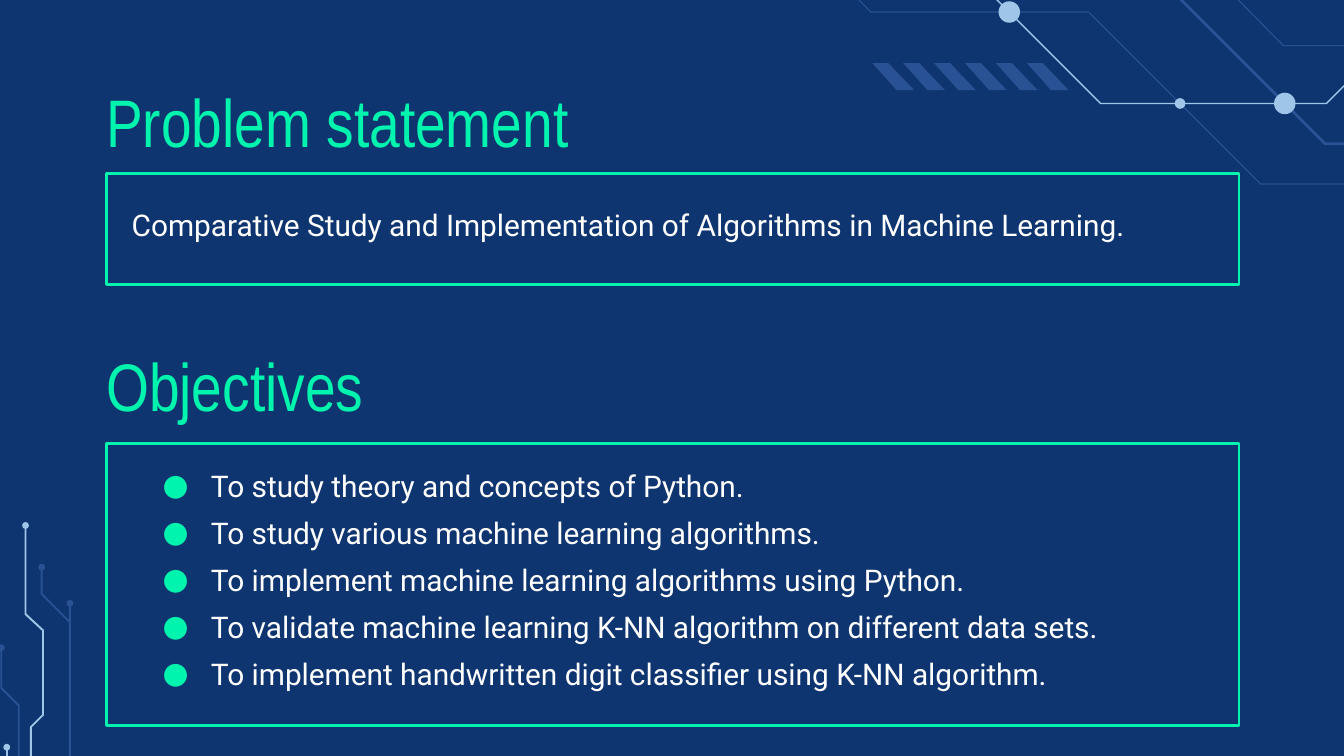
from lxml import etree
from pptx import Presentation
from pptx.dml.color import RGBColor
from pptx.enum.shapes import MSO_CONNECTOR as CONNECTOR, MSO_SHAPE as SHAPE
from pptx.enum.text import MSO_ANCHOR as ANCHOR
from pptx.oxml.ns import qn
from pptx.util import Inches, Pt

NAVY, BLUE, SKY, GREEN, WHITE = "0F3570", "285293", "9FC5E8", "00F4AD", "FFFFFF"

OBJECTIVES = [
    "To study theory and concepts of Python.",
    "To study various machine learning algorithms.",
    "To implement machine learning algorithms using Python.",
    "To validate machine learning K-NN algorithm on different data sets.",
    "To implement handwritten digit classifier using K-NN algorithm.",
]


def color(value):
    return RGBColor.from_string(value)


def add_trace(slide, left, top, points, hue, weight):
    """Draw an open circuit line; points are relative to left and top."""
    places = [(Inches(left + x), Inches(top + y)) for x, y in points]
    if len(places) == 2:
        shape = slide.shapes.add_connector(CONNECTOR.STRAIGHT, *places[0], *places[1])
        etree.SubElement(shape._element.spPr, qn("a:effectLst"))
    else:
        builder = slide.shapes.build_freeform(*places[0])
        builder.add_line_segments(places[1:], close=False)
        shape = builder.convert_to_shape()
        shape.fill.background()
        shape.shadow.inherit = False
    shape.line.color.rgb = color(hue)
    shape.line.width = Pt(weight)


def add_node(slide, center_x, center_y, diameter, hue):
    shape = slide.shapes.add_shape(
        SHAPE.OVAL, Inches(center_x - diameter / 2), Inches(center_y - diameter / 2),
        Inches(diameter), Inches(diameter))
    shape.shadow.inherit = False
    shape.fill.solid()
    shape.fill.fore_color.rgb = color(hue)
    shape.line.fill.background()


def add_text(slide, left, top, width, height, lines, font, size, hue):
    box = slide.shapes.add_textbox(Inches(left), Inches(top), Inches(width), Inches(height))
    frame = box.text_frame
    frame.word_wrap = True
    frame.vertical_anchor = ANCHOR.TOP
    frame.margin_left = frame.margin_right = frame.margin_top = frame.margin_bottom = 0
    frame.text = "\n".join(lines)
    for paragraph in frame.paragraphs:
        paragraph.font.name = font
        paragraph.font.size = Pt(size)
        paragraph.font.color.rgb = color(hue)
    return frame.paragraphs


def indent(paragraph, margin, first_line=0):
    properties = paragraph._p.get_or_add_pPr()
    properties.set("marL", str(Inches(margin)))
    properties.set("indent", str(Inches(first_line)))
    return properties


def add_bullet(paragraph):
    properties = indent(paragraph, 0.5, -0.36)
    bullet_color = etree.Element(qn("a:buClr"))
    etree.SubElement(bullet_color, qn("a:srgbClr"), val=GREEN)
    bullet_font = etree.Element(qn("a:buFont"), typeface="Roboto")
    bullet = etree.Element(qn("a:buChar"), char="●")
    defaults = properties.find(qn("a:defRPr"))
    for part in (bullet_color, bullet_font, bullet):
        defaults.addprevious(part)


def add_top_circuit(slide, left, top):
    # Lines running across the top right corner
    traces = [
        ([(0.38, -1.08), (2.2, -1.08), (2.84, -0.44), (3.84, -0.44), (5.35, 1.07),
          (7.35, 1.07)], BLUE, 1.5),
        ([(0.78, -0.44), (2.47, -0.44), (3.68, 0.77), (5.36, 0.77), (6.53, -0.4),
          (7.61, -0.4)], SKY, 0.75),
        ([(0.01, -0.29), (1.59, -0.29), (1.97, 0.09), (3.59, 0.09), (4.87, 1.37),
          (5.65, 1.37), (6.45, 0.57), (7.35, 0.57)], BLUE, 0.6),
        ([(4.27, -0.44), (5.04, 0.34), (6.81, 0.34)], BLUE, 0.6),
    ]
    for points, hue, weight in traces:
        add_trace(slide, left, top, points, hue, weight)
    for x, y, diameter in [(4.27, 0.77, 0.08), (3, 0.09, 0.16), (5.05, 0.77, 0.16)]:
        add_node(slide, left + x, top + y, diameter, SKY)

    # Row of slanted stripes
    for number in range(6):
        x = left + 1.98 + 0.23 * number
        corners = [(x, 0.47), (x + 0.18, 0.67), (x + 0.31, 0.67), (x + 0.12, 0.47)]
        places = [(Inches(px), Inches(top + py)) for px, py in corners]
        builder = slide.shapes.build_freeform(*places[0])
        builder.add_line_segments(places[1:])
        stripe = builder.convert_to_shape()
        stripe.shadow.inherit = False
        stripe.fill.solid()
        stripe.fill.fore_color.rgb = color(BLUE)
        stripe.line.fill.background()


def add_side_circuit(slide, left, top):
    # Each line ends at a node on its last point
    traces = [
        ([(0.23, 3.78), (0.23, 1.5), (0.32, 1.41), (0.32, 0.78), (0.19, 0.66),
          (0.19, 0)], SKY),
        ([(0.4, 3.14), (0.4, 1.97), (0.52, 1.85), (0.52, 0.58)], BLUE),
        ([(0.52, 0.72), (0.31, 0.51), (0.31, 0.31)], BLUE),
        ([(-0.04, 3.19), (0.14, 3), (0.14, 1.34), (0.01, 1.21), (0.01, 0.91)], BLUE),
        ([(0.05, 2.83), (0.05, 1.65)], SKY),
    ]
    for points, hue in traces:
        add_trace(slide, left, top, points, hue, 1.03)
        end_x, end_y = points[-1]
        add_node(slide, left + end_x, top + end_y, 0.05, hue)


def add_section(slide, left, top, width, title, frame_top, frame_height):
    """Place a heading with an outlined frame below it."""
    add_text(slide, left, top, width, 0.53, [title], "Arial Narrow", 36, GREEN)
    frame = slide.shapes.add_shape(
        SHAPE.RECTANGLE, Inches(left), Inches(top + frame_top),
        Inches(width), Inches(frame_height))
    frame.shadow.inherit = False
    frame.fill.background()
    frame.line.color.rgb = color(GREEN)
    frame.line.width = Pt(1.5)


def add_problem(slide, left, top, width):
    add_section(slide, left, top, width, "Problem statement", 0.69, 0.83)
    statement = "Comparative Study and Implementation of Algorithms in Machine Learning."
    paragraphs = add_text(slide, left + 0.05, top + 0.94, 7.86, 0.69, [statement],
                          "Roboto", 16, WHITE)
    indent(paragraphs[0], 0.14)


def add_objectives(slide, left, top, width):
    add_section(slide, left, top, width, "Objectives", 0.74, 2.1)
    paragraphs = add_text(slide, left + 0.28, top + 0.92, 7.86, 1.71, OBJECTIVES,
                          "Roboto", 16, WHITE)
    for number, paragraph in enumerate(paragraphs):
        paragraph.space_before = Pt(6 if number else 0)
        add_bullet(paragraph)


def main():
    presentation = Presentation()
    presentation.slide_width = Inches(10)
    presentation.slide_height = Inches(10) * 9 // 16
    slide = presentation.slides.add_slide(presentation.slide_layouts[6])
    slide.background.fill.solid()
    slide.background.fill.fore_color.rgb = color(NAVY)

    add_top_circuit(slide, 4.51, 0)
    add_side_circuit(slide, 0, 3.91)
    add_objectives(slide, 0.79, 2.56, 8.43)
    add_problem(slide, 0.79, 0.6, 8.43)
    presentation.save("out.pptx")


if __name__ == "__main__":
    main()
